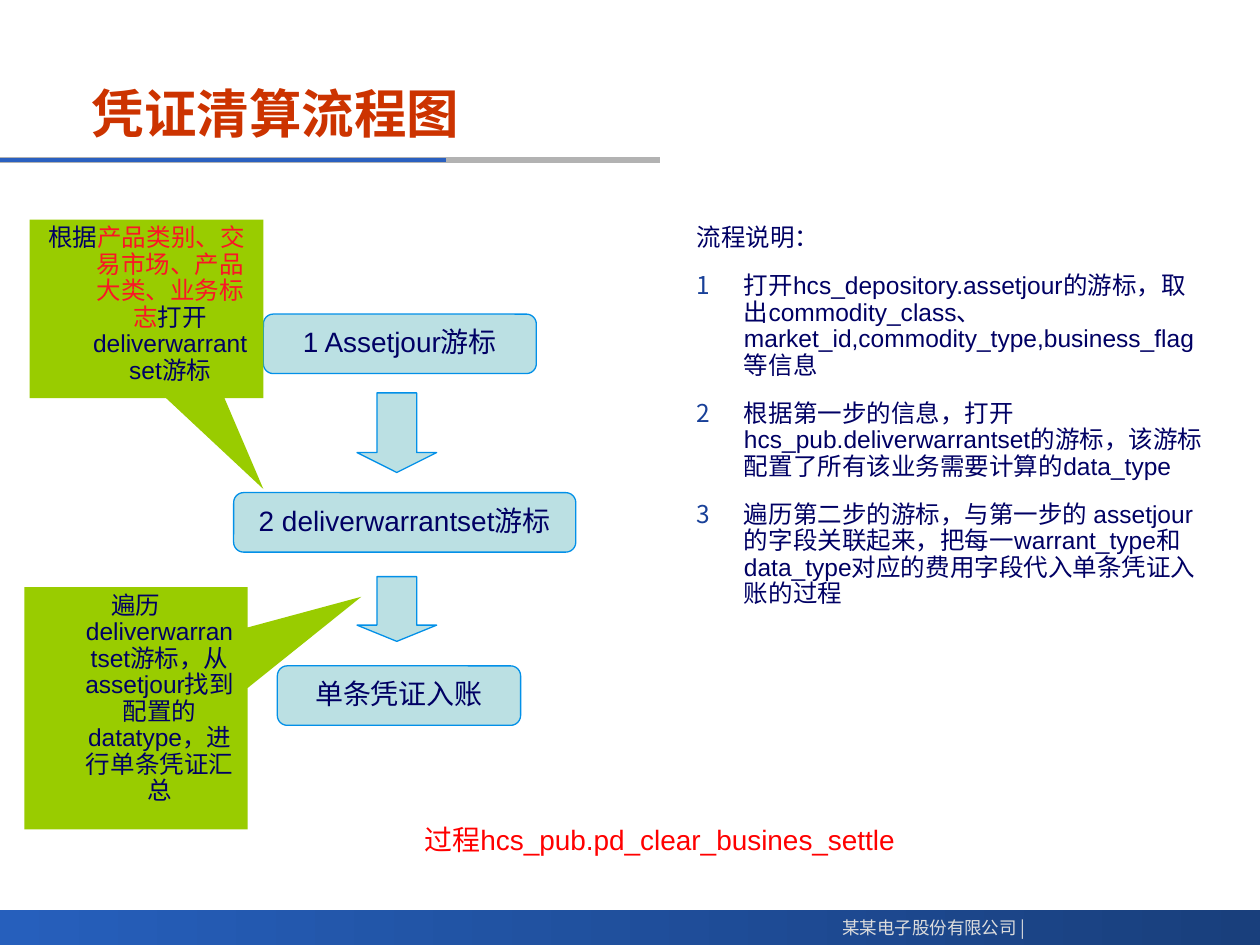
from lxml.etree import SubElement
from pptx import Presentation
from pptx.dml.color import RGBColor
from pptx.enum.shapes import MSO_CONNECTOR, MSO_SHAPE
from pptx.enum.text import MSO_ANCHOR, PP_ALIGN
from pptx.oxml.ns import qn
from pptx.util import Pt

LATIN, CJK = "Arial", "Noto Sans CJK SC"
NAVY, RED, ORANGE = "000064", "FF0000", "CC3300"
PALE, BLUE, GREEN = "BBE0E3", "0290E8", "99CC00"
HANG = 27


def rgb(value):
    return RGBColor.from_string(value)


def add_run(p, text, size, color=NAVY, bold=False, font=LATIN):
    r = p.add_run()
    r.text = text
    r.font.size = Pt(size)
    r.font.bold = bold
    r.font.name = font
    r.font.color.rgb = rgb(color)
    SubElement(r._r.get_or_add_rPr(), qn("a:ea"), typeface=CJK)


def set_hanging(p, before=0, after=4, numbered=False):
    pPr = p._p.get_or_add_pPr()
    pPr.set("marL", str(Pt(HANG)))
    pPr.set("indent", str(-Pt(HANG)))
    if numbered:
        color = SubElement(pPr, qn("a:buClr"))
        SubElement(color, qn("a:srgbClr"), val="184098")
        SubElement(pPr, qn("a:buFont"), typeface=CJK)
        SubElement(pPr, qn("a:buAutoNum"), type="arabicPlain")
    p.line_spacing = 0.9
    p.space_before = Pt(before)
    p.space_after = Pt(after)


def add_text_box(s, x, y, w, h, wrap=True, anchor=MSO_ANCHOR.TOP):
    tf = s.shapes.add_textbox(Pt(x), Pt(y), Pt(w), Pt(h)).text_frame
    tf.word_wrap = wrap
    tf.vertical_anchor = anchor
    return tf


def add_block(s, kind, x, y, w, h, fill, line=None, adj=()):
    sp = s.shapes.add_shape(kind, Pt(x), Pt(y), Pt(w), Pt(h))
    sp.shadow.inherit = False
    sp.fill.solid()
    sp.fill.fore_color.rgb = rgb(fill)
    if line:
        sp.line.color.rgb = rgb(line)
        sp.line.width = Pt(0.75)
    else:
        sp.line.fill.background()
    for i, value in enumerate(adj):
        sp.adjustments[i] = value
    return sp


def add_step(s, x, y, w, text):
    sp = add_block(s, MSO_SHAPE.ROUNDED_RECTANGLE, x, y, w, 34, PALE, BLUE)
    tf = sp.text_frame
    tf.word_wrap = False
    tf.vertical_anchor = MSO_ANCHOR.MIDDLE
    p = tf.paragraphs[0]
    p.alignment = PP_ALIGN.CENTER
    set_hanging(p)
    add_run(p, text, 16)


def add_callout(s, x, y, w, h, tip, runs):
    sp = add_block(s, MSO_SHAPE.RECTANGULAR_CALLOUT, x, y, w, h, GREEN, adj=tip)
    tf = sp.text_frame
    tf.word_wrap = True
    tf.vertical_anchor = MSO_ANCHOR.TOP
    p = tf.paragraphs[0]
    p.alignment = PP_ALIGN.CENTER
    set_hanging(p, after=3.5)
    for text, color in runs:
        add_run(p, text, 14, color)


def add_rule(s, length, color, width):
    y = Pt(91.5)
    line = s.shapes.add_connector(MSO_CONNECTOR.STRAIGHT, 0, y, Pt(length), y)
    line.line.color.rgb = rgb(color)
    line.line.width = Pt(width)
    SubElement(line._element.spPr, qn("a:effectLst"))


def add_footer(s):
    bar = add_block(s, MSO_SHAPE.RECTANGLE, 0, 520, 720, 20, "193F7C")
    bar.fill.gradient()
    bar.fill.gradient_angle = 180
    for stop, color in zip(bar.fill.gradient_stops, ("193F7C", "265FBC")):
        stop.color.rgb = rgb(color)
    p = add_text_box(s, 470, 520.5, 123, 19.5, wrap=False).paragraphs[0]
    p.alignment = PP_ALIGN.RIGHT
    add_run(p, "某某电子股份有限公司 |", 10, "DDDDDD", font=CJK)


def add_notes_list(s, heading, items):
    tf = add_text_box(s, 391, 125.5, 306, 211)
    p = tf.paragraphs[0]
    set_hanging(p, after=3.5)
    add_run(p, heading, 14)
    for item in items:
        p = tf.add_paragraph()
        set_hanging(p, 8.8, 3.5, numbered=True)
        add_run(p, item, 14)


def main():
    prs = Presentation()
    prs.slide_width, prs.slide_height = Pt(720), Pt(540)
    s = prs.slides.add_slide(prs.slide_layouts[6])

    # Footer, title and rules
    add_footer(s)
    add_rule(s, 377, "B2B2B2", 3)
    add_rule(s, 255, "2A60C0", 2.25)
    tf = add_text_box(s, 45.5, 40.5, 498, 48, anchor=MSO_ANCHOR.MIDDLE)
    add_run(tf.paragraphs[0], "凭证清算流程图", 30, ORANGE, bold=True)

    # Procedure name and explanation
    p = add_text_box(s, 235.5, 468.5, 332, 24.5).paragraphs[0]
    set_hanging(p)
    add_run(p, "过程hcs_pub.pd_clear_busines_settle", 16, RED)
    add_notes_list(s, "流程说明：", [
        "打开hcs_depository.assetjour的游标，取出commodity_class、"
        "market_id,commodity_type,business_flag等信息",
        "根据第一步的信息，打开hcs_pub.deliverwarrantset的游标，"
        "该游标配置了所有该业务需要计算的data_type",
        "遍历第二步的游标，与第一步的 assetjour的字段关联起来，"
        "把每一warrant_type和data_type对应的费用字段代入单条凭证入账的过程",
    ])

    # Flow steps and the arrows between them
    for x, y, w, text in [
        (150.5, 179.5, 156, "1 Assetjour游标"),
        (133.5, 281.5, 195.5, "2 deliverwarrantset游标"),
        (158.5, 380.5, 139, "单条凭证入账"),
    ]:
        add_step(s, x, y, w, text)
    for y, h in [(224.5, 45.5), (329.5, 37)]:
        add_block(s, MSO_SHAPE.DOWN_ARROW, 204, y, 45.5, h, PALE, BLUE, (0.5, 0.25))

    # Callouts
    add_callout(s, 17, 125.5, 133.5, 102, (0.5, 1.01), [
        ("根据", NAVY),
        ("产品类别、交易市场、产品大类、业务标志", "FA1626"),
        ("打开deliverwarrantset游标", NAVY),
    ])
    add_callout(s, 14, 335.5, 127.5, 138.5, (1.01, -0.46), [
        ("遍历deliverwarrantset游标，从assetjour找到配置的datatype，"
         "进行单条凭证汇总", NAVY),
    ])

    prs.save("out.pptx")


if __name__ == "__main__":
    main()
